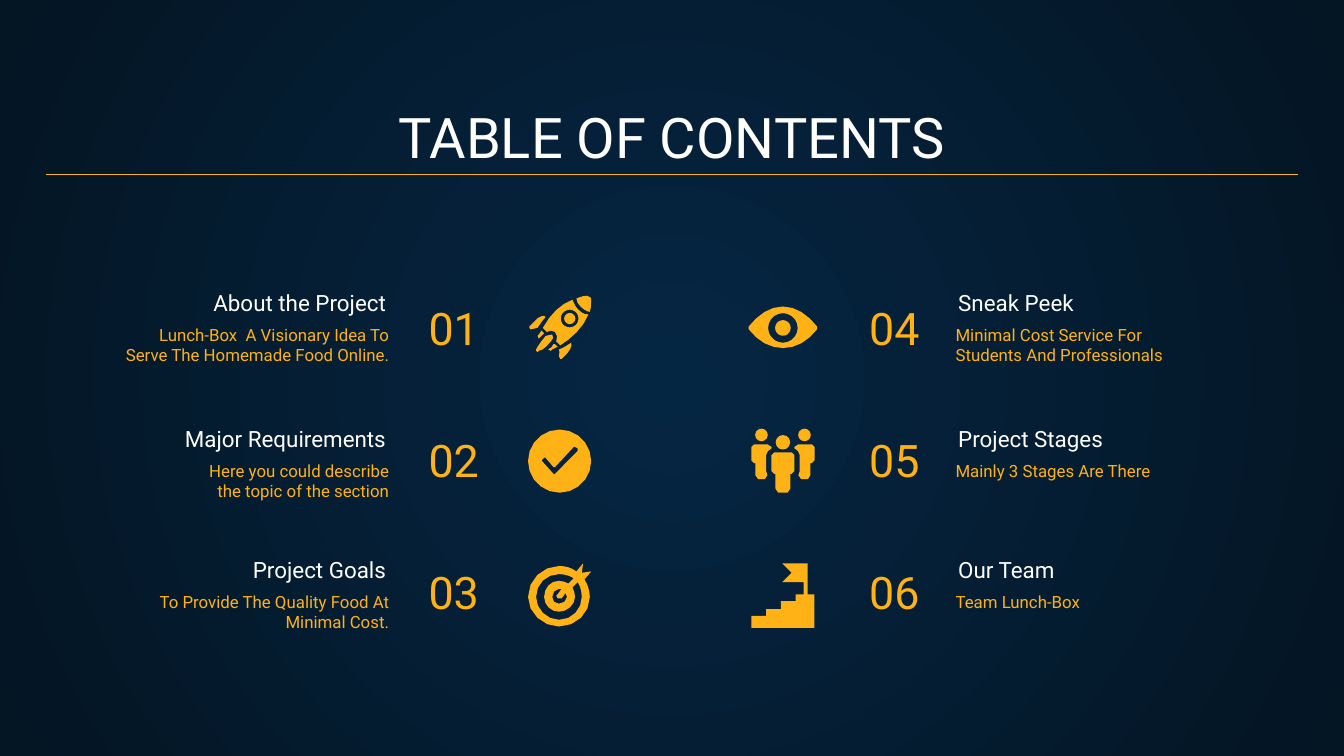
from dataclasses import dataclass

import math
from lxml import etree
from pptx import Presentation, util as u
from pptx.dml.color import RGBColor
from pptx.enum import shapes, text
from pptx.oxml.ns import qn

AMBER = RGBColor(0xFF, 0xB2, 0x15)
WHITE = RGBColor(0xFF, 0xFF, 0xFF)
NAVY = RGBColor(0x05, 0x26, 0x43)
NIGHT = RGBColor(0x04, 0x15, 0x23)
FONT = "Roboto"
LEFT, RIGHT, CENTER = text.PP_ALIGN.LEFT, text.PP_ALIGN.RIGHT, text.PP_ALIGN.CENTER
TOP, BOTTOM = text.MSO_ANCHOR.TOP, text.MSO_ANCHOR.BOTTOM
MAX_STEPS = 4
STEP_LENGTH = 4
CIRCLE_SIDES = 20
PRECISION = 100
ICON_UNIT = u.Cm(2.54) / 100


@dataclass
class Column:
    heading_x: float
    detail_x: float
    detail_w: float
    number_x: float
    icon_x: float
    text_align: text.PP_ALIGN
    number_align: text.PP_ALIGN


@dataclass
class Circle:
    x: float
    y: float
    radius: float


@dataclass
class Section:
    heading: str
    detail: str
    icon: tuple[str | Circle, ...]


ROCKET = (
    "M 10 26 C 8 28 8 30 7 30 L 8 32 C 9 31 10 30 11 29 L 12 28",
    "M 20 36 L 19 36 C 18 38 17 39 15 40 L 17 41 L 18 40 L 22 38",
    "M 17 29 C 16 29 14 30 13 30 C 9 35 7 38 6 40 L 6 41 L 7 42 L 8 41 "
    "C 10 41 13 39 17 34 C 19 33 19 30 18 29",
    "M 12 15 C 10 15 7 16 5 19 L 1 23 L 1 24 L 2 25 L 7 24 C 9 21 11 18 13 16",
    "M 32 35 C 29 37 26 39 23 40 C 24 41 23 42 23 45 L 24 47 L 25 47 L 29 43 C 32 40 33 36 32 35",
    Circle(31, 17, 4.2),
    "M 44 0 C 41 0 39 1 36 2 C 36 4 37 6 39 8 C 41 10 44 12 46 12 C 47 9 47 5 47 2 L 46 1",
    "O 31 17 6.6 M 33 3 C 25 6 17 13 11 24 L 14 27 L 17 26 L 20 27 "
    "C 22 29 22 31 21 34 L 24 37 C 32 32 41 24 45 14 C 42 14 40 13 37 10 C 35 8 34 5 33 3",
)
CHECK = (
    "O 23.5 23.5 23.5 M 35 13 L 37 14 L 37 16 L 20 33 L 19 33 L 10 23 "
    "L 12 21 L 13 21 L 19 28 L 20 28 L 34 13",
)
TARGET = (
    "M 23 19 L 25 19 L 22 23 L 21 24 L 22 26 L 25 26 L 28 22 "
    "L 29 25 C 29 28 26 30 23 30 C 20 30 18 28 18 25 C 18 22 20 19 23 19 "
    "M 23 8 C 27 8 31 9 34 11 L 30 15 C 28 14 26 13 23 13 C 17 13 12 18 12 25 "
    "C 12 31 17 36 23 36 C 29 36 35 31 35 25 C 35 22 34 20 33 18 L 37 14 C 39 17 40 21 40 25 "
    "C 40 34 33 42 23 42 C 14 42 6 34 6 25 C 6 15 14 8 23 8 "
    "M 41 0 L 36 6 C 32 3 28 2 23 2 C 11 2 0 12 0 25 C 0 37 11 47 23 47 C 36 47 46 37 46 25 "
    "C 46 20 44 15 42 12 L 47 6 L 40 7",
)
EYE = (
    "O 23.5 24 5.8 O 23.5 24 11 M 23.5 8 C 14 8 5 14 -2 23 L -2 25 "
    "C 5 34 14 39 23.5 39 C 33 39 42 34 49 25 L 49 23 C 42 14 33 8 23.5 8",
)
PEOPLE = (
    Circle(7.5, 4, 4.7),
    "M 2 11 L 0 13 L 0 23 L 2 25 L 3 25 L 3 34 L 5 37 L 10 37 L 12 34 L 11 31 L 11 19 "
    "C 11 17 13 15 15 14 L 15 13 L 12 11",
    Circle(39.5, 4, 4.7),
    "M 45 11 L 47 13 L 47 23 L 45 25 L 44 25 L 44 34 L 42 37 L 37 37 L 35 34 L 36 31 L 36 19 "
    "C 36 17 34 15 32 14 L 32 13 L 35 11",
    "M 17 17 L 15 19 L 15 31 L 17 33 L 18 33 L 18 44 L 20 47 L 27 47 L 29 44 L 29 33 L 30 33 "
    "L 32 31 L 32 19 L 30 17",
    Circle(23.5, 9.5, 5.4),
)
STAIRS = (
    "M 23 0 L 30 7 L 23 14 L 39 14 L 39 23 L 33 23 L 33 28 L 22 28 L 22 34 L 11 34 L 11 39 "
    "L 0 39 L 0 48 L 47 48 L 47 23 L 42 23 L 42 0",
)

COLUMNS = (
    Column(1.78, 2.01, 5.59, 7.85, 9.98, RIGHT, LEFT),
    Column(17.86, 17.81, 5.26, 14.35, 14.2, LEFT, RIGHT),
)
HEADING_TOPS = (5.69, 8.26, 10.74)
SECTIONS = (
    Section("About the Project", "Lunch-Box  A Visionary Idea To Serve The Homemade Food Online.", ROCKET),
    Section("Major Requirements", "Here you could describe\nthe topic of the section", CHECK),
    Section("Project Goals", "To Provide The Quality Food At Minimal Cost.", TARGET),
    Section("Sneak Peek", "Minimal Cost Service For Students And Professionals", EYE),
    Section("Project Stages", "Mainly 3 Stages Are There", PEOPLE),
    Section("Our Team", "Team Lunch-Box", STAIRS),
)


def trace(outline: str) -> list[list[tuple[float, float]]]:
    contours = []
    tokens = iter(outline.split())
    for command in tokens:
        count = {"M": 2, "L": 2, "C": 6, "O": 3}[command]
        v = [float(next(tokens)) * PRECISION for _ in range(count)]
        if command == "M":
            contours.append([(v[0], v[1])])
        elif command == "L":
            contours[-1].append((v[0], v[1]))
        elif command == "O":
            angles = [math.tau * k / CIRCLE_SIDES for k in range(CIRCLE_SIDES)]
            contours.append([(v[0] + v[2] * math.cos(a), v[1] + v[2] * math.sin(a)) for a in angles])
        else:
            curve = [contours[-1][-1], *zip(v[::2], v[1::2])]
            chord = math.dist(curve[0], curve[-1]) / PRECISION
            steps = min(MAX_STEPS, math.ceil(chord / STEP_LENGTH))
            for k in range(1, steps + 1):
                t = k / steps
                weights = [math.comb(3, i) * t**i * (1 - t) ** (3 - i) for i in range(4)]
                contours[-1].append(tuple(sum(w * c[axis] for w, c in zip(weights, curve)) for axis in (0, 1)))
    return contours


def draw_piece(parent, piece: str | Circle, x: int, y: int):
    if isinstance(piece, Circle):
        left, top = piece.x - piece.radius, piece.y - piece.radius
        size = round(2 * piece.radius * ICON_UNIT)
        return parent.add_shape(
            shapes.MSO_SHAPE.OVAL, x + round(left * ICON_UNIT), y + round(top * ICON_UNIT), size, size
        )
    first, *others = trace(piece)
    builder = parent.build_freeform(*first[0], scale=ICON_UNIT / PRECISION)
    builder.add_line_segments(first[1:], close=True)
    for contour in others:
        builder.move_to(*contour[0])
        builder.add_line_segments(contour[1:], close=True)
    return builder.convert_to_shape(x, y)


def draw_icon(s, icon: tuple[str | Circle, ...], x: float, y: float) -> None:
    parent = s.shapes.add_group_shape().shapes if len(icon) > 1 else s.shapes
    for piece in icon:
        sp = draw_piece(parent, piece, u.Cm(x), u.Cm(y))
        sp.shadow.inherit = False
        sp.fill.solid()
        sp.fill.fore_color.rgb = AMBER
        sp.line.fill.background()


def write(sp, words: str, size: float, color: RGBColor, align: text.PP_ALIGN, anchor: text.MSO_ANCHOR) -> None:
    tf = sp.text_frame
    tf.text = words
    tf.word_wrap = True
    tf.auto_size = text.MSO_AUTO_SIZE.NONE
    tf.vertical_anchor = anchor
    tf.margin_left = tf.margin_right = tf.margin_top = tf.margin_bottom = u.Cm(0.25)
    for p in tf.paragraphs:
        p.alignment = align
        for r in p.runs:
            r.font.name, r.font.size, r.font.color.rgb = FONT, u.Pt(size), color


def add_text(s, x: float, y: float, w: float, h: float, *style) -> None:
    write(s.shapes.add_textbox(u.Cm(x), u.Cm(y), u.Cm(w), u.Cm(h)), *style)


def paint_background(s) -> None:
    fill = s.background.fill
    fill.gradient()
    for stop, color in zip(fill.gradient_stops, (NAVY, NIGHT)):
        stop.color.rgb = color
    lin = next(s.element.iter(qn("a:lin")))
    circle = etree.Element(qn("a:path"), {"path": "circle"})
    etree.SubElement(circle, qn("a:fillToRect"), {side: "50000" for side in "ltrb"})
    lin.getparent().replace(lin, circle)


def add_title(s) -> None:
    sp = s.shapes.title
    sp.left, sp.top, sp.width, sp.height = u.Cm(0.86), u.Cm(1.78), u.Cm(23.67), u.Cm(1.68)
    write(sp, "TABLE OF CONTENTS", 30, WHITE, CENTER, BOTTOM)
    rule = s.shapes.add_connector(shapes.MSO_CONNECTOR.STRAIGHT, u.Cm(0.86), u.Cm(3.3), u.Cm(24.54), u.Cm(3.3))
    rule.line.color.rgb = AMBER
    rule.line.width = u.Pt(0.75)
    etree.SubElement(rule._element.spPr, qn("a:effectLst"))


def main() -> None:
    prs = Presentation()
    prs.slide_width, prs.slide_height = u.Cm(25.4), u.Cm(14.29)
    s = prs.slides.add_slide(prs.slide_layouts[5])
    paint_background(s)
    add_title(s)
    for i, section in enumerate(SECTIONS):
        side, row = divmod(i, len(HEADING_TOPS))
        col, top = COLUMNS[side], HEADING_TOPS[row]
        add_text(s, col.detail_x, top + 0.2, col.detail_w, 1.4, section.detail, 9, AMBER, col.text_align, TOP)
        add_text(s, col.number_x, 5.28 + 2.49 * row, 3.28, 1.68, f"{i + 1:02}", 24, AMBER, col.number_align, BOTTOM)
        add_text(s, col.heading_x, top, 5.77, 0.53, section.heading, 12, WHITE, col.text_align, BOTTOM)
        draw_icon(s, section.icon, col.icon_x, 5.59 + 2.53 * row)
    prs.save("out.pptx")


if __name__ == "__main__":
    main()
